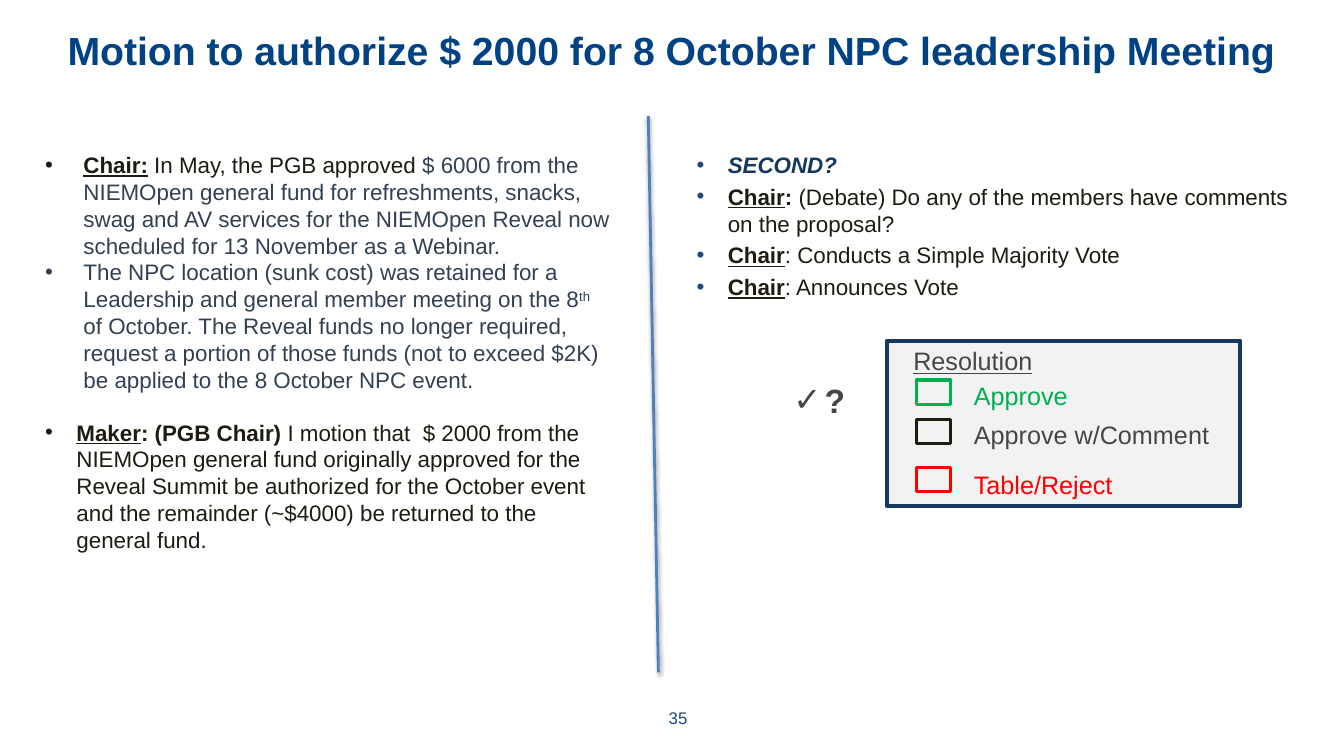
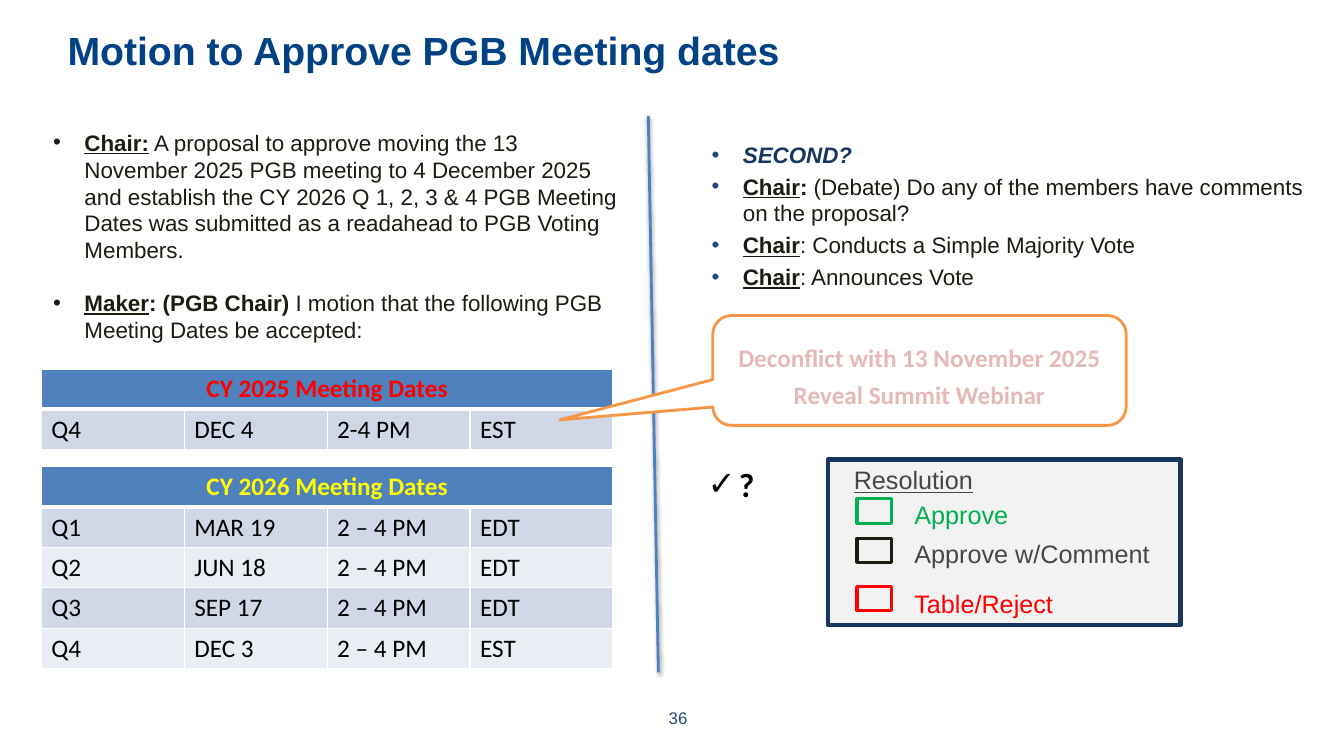
from dataclasses import dataclass

from lxml import etree
from pptx import Presentation
from pptx.dml.color import RGBColor
from pptx.enum.shapes import MSO_CONNECTOR, MSO_SHAPE
from pptx.enum.text import MSO_ANCHOR, MSO_AUTO_SIZE, PP_ALIGN
from pptx.oxml.ns import qn
from pptx.util import Inches, Pt

RECT = MSO_SHAPE.RECTANGLE
CALLOUT = MSO_SHAPE.ROUNDED_RECTANGULAR_CALLOUT
STRAIGHT = MSO_CONNECTOR.STRAIGHT
LEFT, CENTER = PP_ALIGN.LEFT, PP_ALIGN.CENTER
TOP, MIDDLE = MSO_ANCHOR.TOP, MSO_ANCHOR.MIDDLE
NO_FIT = MSO_AUTO_SIZE.NONE
TITLE_ONLY = 5


@dataclass(frozen=True)
class Theme:
    sans: str = "Arial"
    table_font: str = "Calibri"
    title: str = "004283"
    number: str = "1F497D"
    ink: str = "1E1C11"
    slate: str = "334052"
    navy: str = "17375E"
    grey: str = "464646"
    black: str = "000000"
    white: str = "FFFFFF"
    panel: str = "F2F2F2"
    green: str = "00B050"
    red: str = "FF0000"
    yellow: str = "FFFF00"
    blue: str = "4F81BD"
    band_dark: str = "D0D8E8"
    band_light: str = "E9EDF4"
    orange: str = "F79646"
    pink: str = "E6B9B8"
    title_size: float = 28
    mark_size: float = 24
    label_size: float = 18
    body_size: float = 16
    number_size: float = 12
    body_gap: float = 18.4
    list_gap: float = 3.5


T = Theme()


@dataclass(frozen=True)
class Run:
    text: str
    color: str = T.ink
    size: float = T.body_size
    font: str = T.sans
    bold: bool = False
    italic: bool = False
    underline: bool = False
    raised: bool = False


@dataclass(frozen=True)
class Para:
    runs: tuple[Run, ...]
    bullet: str = ""
    indent: float = 0.31
    bullet_color: str = ""
    before: float = 0
    align: PP_ALIGN = LEFT
    spacing: float = 1.0


@dataclass(frozen=True)
class Box:
    x: float
    y: float
    w: float
    h: float

    def lengths(self):
        return Inches(self.x), Inches(self.y), Inches(self.w), Inches(self.h)


@dataclass(frozen=True)
class Choice:
    text: str
    color: str
    box_color: str
    box_dy: float
    text_dy: float


@dataclass(frozen=True)
class MotionSlide:
    title: str
    number: str
    motion_at: Box
    motion: tuple[Para, ...]
    vote_at: Box
    panel_at: Box
    mark_at: Box
    mark: Run


CHOICES = (
    Choice("Approve", T.green, T.green, 0.39, 0.34),
    Choice("Approve w/Comment", T.grey, T.ink, 0.78, 0.73),
    Choice("Table/Reject", T.red, T.red, 1.26, 1.23),
)


def lead(text: str) -> Run:
    return Run(text, bold=True, underline=True)


def maker(text: str) -> Para:
    return Para((lead("Maker"), Run(": (PGB Chair) ", bold=True), Run(text)), "•", before=T.body_gap)


def vote_step(*runs: Run) -> Para:
    return Para((lead("Chair"), *runs), "•", bullet_color=T.number, before=T.list_gap)


VOTE = (
    Para((Run("SECOND?", T.navy, bold=True, italic=True),), "•", bullet_color=T.number),
    vote_step(Run(": ", bold=True), Run("(Debate) Do any of the members have comments on the proposal?")),
    vote_step(Run(": Conducts a Simple Majority Vote")),
    vote_step(Run(": Announces Vote")),
)

SLIDES = (
    MotionSlide(
        "Motion to authorize $ 2000 for 8 October NPC leadership Meeting", "35",
        Box(0.35, 1.45, 5.83, 4.73),
        (
            Para((
                lead("Chair:"),
                Run(" In May, the PGB approved"),
                Run(" $ 6000 from the NIEMOpen general fund for refreshments, snacks, swag and AV "
                    "services for the NIEMOpen Reveal now scheduled for 13 November as a Webinar.", T.slate),
            ), "•", 0.38),
            Para((
                Run("The NPC location (sunk cost) was retained for a Leadership and general member "
                    "meeting on the 8", T.slate),
                Run("th", T.slate, raised=True),
                Run(" of October. The Reveal funds no longer required, request a portion of those "
                    "funds (not to exceed $2K) be applied to the 8 October NPC event.", T.slate),
            ), "•", 0.38),
            maker("I motion that  $ 2000 from the NIEMOpen general fund originally approved for the "
                  "Reveal Summit be authorized for the October event and the remainder (~$4000) be "
                  "returned to the general fund."),
        ),
        Box(6.81, 1.45, 6.09, 1.93),
        Box(8.8, 3.38, 3.5, 1.64),
        Box(7.77, 3.72, 0.6, 0.5),
        Run("?", T.grey, T.mark_size, bold=True),
    ),
    MotionSlide(
        "Motion to Approve PGB Meeting dates", "36",
        Box(0.43, 1.23, 5.83, 2.26),
        (
            Para((
                lead("Chair:"),
                Run(" A proposal to approve moving the 13 November 2025 PGB meeting to 4 December 2025 "
                    "and establish the CY 2026 Q 1, 2, 3 & 4 PGB Meeting Dates was submitted as a "
                    "readahead to PGB Voting Members."),
            ), "•"),
            maker("I motion that the following PGB Meeting Dates be accepted:"),
        ),
        Box(6.96, 1.35, 6.09, 1.93),
        Box(8.21, 4.56, 3.5, 1.64),
        Box(6.92, 4.55, 0.58, 0.5),
        Run("?", T.black, T.mark_size, T.table_font, bold=True),
    ),
)

DATES_2025 = (("Q4", "DEC 4", "2-4 PM", "EST"),)
DATES_2026 = (
    ("Q1", "MAR 19", "2 – 4 PM", "EDT"),
    ("Q2", "JUN 18", "2 – 4 PM", "EDT"),
    ("Q3", "SEP 17", "2 – 4 PM", "EDT"),
    ("Q4", "DEC 3", "2 – 4 PM", "EST"),
)


def rgb(color: str) -> RGBColor:
    return RGBColor.from_string(color)


def add_solid(parent, color: str):
    fill = etree.SubElement(parent, qn("a:solidFill"))
    return etree.SubElement(fill, qn("a:srgbClr"), val=color)


def set_bullet(p, para: Para) -> None:
    pPr = p._p.get_or_add_pPr()
    indent = Inches(para.indent)
    pPr.set("marL", str(indent))
    pPr.set("indent", str(-indent))
    if para.bullet_color:
        clr = etree.SubElement(pPr, qn("a:buClr"))
        etree.SubElement(clr, qn("a:srgbClr"), val=para.bullet_color)
    etree.SubElement(pPr, qn("a:buFont"), typeface=T.sans)
    etree.SubElement(pPr, qn("a:buChar"), char=para.bullet)


def write(tf, *paras: Para) -> None:
    for i, para in enumerate(paras):
        p = tf.add_paragraph() if i else tf.paragraphs[0]
        p.alignment = para.align
        if para.bullet:
            set_bullet(p, para)
        p.space_before = Pt(para.before)
        p.line_spacing = para.spacing
        for run in para.runs:
            r = p.add_run()
            r.text = run.text
            f = r.font
            f.name, f.size, f.color.rgb = run.font, Pt(run.size), rgb(run.color)
            f.bold, f.italic, f.underline = run.bold, run.italic, run.underline
            if run.raised:
                r._r.get_or_add_rPr().set("baseline", "30000")


def add_text(s, box: Box, *paras: Para) -> None:
    tf = s.shapes.add_textbox(*box.lengths()).text_frame
    tf.word_wrap = True
    write(tf, *paras)


def add_box(s, kind: MSO_SHAPE, box: Box, fill: str, line: str, width: float):
    sp = s.shapes.add_shape(kind, *box.lengths())
    sp.shadow.inherit = False
    if fill:
        sp.fill.solid()
        sp.fill.fore_color.rgb = rgb(fill)
    else:
        sp.fill.background()
    sp.line.color.rgb = rgb(line)
    sp.line.width = Pt(width)
    return sp


def add_divider(s) -> None:
    line = s.shapes.add_connector(STRAIGHT, Inches(6.43), Inches(1.15), Inches(6.53), Inches(6.67))
    line.line.color.rgb = rgb(T.blue)
    line.line.width = Pt(2)
    effects = etree.SubElement(line._element.spPr, qn("a:effectLst"))
    shadow = etree.SubElement(effects, qn("a:outerShdw"), blurRad=str(Pt(3.1)), dist=str(Pt(1.6)),
                              dir="5400000", rotWithShape="0")
    clr = etree.SubElement(shadow, qn("a:srgbClr"), val=T.black)
    etree.SubElement(clr, qn("a:alpha"), val="38000")


def add_resolution(s, panel: Box) -> None:
    add_box(s, RECT, panel, T.panel, T.navy, 3)
    heading = Run("Resolution", T.grey, T.label_size, underline=True)
    add_text(s, Box(panel.x + 0.16, panel.y, 1.43, 0.33), Para((heading,)))
    for c in CHOICES:
        add_box(s, RECT, Box(panel.x + 0.29, panel.y + c.box_dy, 0.34, 0.24), "", c.box_color, 2.25)
        add_text(s, Box(panel.x + 0.76, panel.y + c.text_dy, 2.59, 0.33),
                 Para((Run(c.text, c.color, T.label_size),)))


def style_cell(cell, fill: str, bottom: float) -> None:
    cell.vertical_anchor = TOP
    tcPr = cell._tc.get_or_add_tcPr()
    for side, width in (("L", 1), ("R", 1), ("T", 1), ("B", bottom)):
        ln = etree.SubElement(tcPr, qn(f"a:ln{side}"), w=str(Pt(width)))
        add_solid(ln, T.white)
    cell.fill.solid()
    cell.fill.fore_color.rgb = rgb(fill)


def add_dates(s, y: float, heading: str, color: str, dates: tuple[tuple[str, ...], ...]) -> None:
    rows, cols = len(dates) + 1, len(dates[0])
    box = Box(0.41, y, 5.67, 0.4 * rows)
    table = s.shapes.add_table(rows, cols, *box.lengths()).table
    for cell in table.rows[0].cells:
        style_cell(cell, T.blue, 3)
    table.cell(0, 0).merge(table.cell(0, cols - 1))
    head = Run(heading, color, T.label_size, T.table_font, bold=True)
    write(table.cell(0, 0).text_frame, Para((head,), align=CENTER))
    for i, date in enumerate(dates):
        for j, text in enumerate(date):
            cell = table.cell(i + 1, j)
            style_cell(cell, T.band_light if i % 2 else T.band_dark, 1)
            write(cell.text_frame, Para((Run(text, T.black, T.label_size, T.table_font),)))


def add_callout(s) -> None:
    sp = add_box(s, CALLOUT, Box(7.07, 3.13, 4.1, 1.09), T.white, T.orange, 2)
    for i, value in enumerate((-0.87, 0.45, 0.17)):
        sp.adjustments[i] = value
    tf = sp.text_frame
    tf.word_wrap, tf.vertical_anchor, tf.margin_top = True, MIDDLE, Inches(0.1)
    note = Run("Deconflict with 13 November 2025 Reveal Summit Webinar", T.pink, T.label_size,
               T.table_font, bold=True)
    write(tf, Para((note,), align=CENTER, spacing=1.2))


def add_motion(prs, m: MotionSlide):
    s = prs.slides.add_slide(prs.slide_layouts[TITLE_ONLY])
    title = s.shapes.title
    title.left, title.top, title.width, title.height = Box(0.67, 0.26, 12.2, 1.18).lengths()
    tf = title.text_frame
    tf.auto_size, tf.vertical_anchor = NO_FIT, TOP
    tf.margin_left = tf.margin_right = tf.margin_top = tf.margin_bottom = 0
    write(tf, Para((Run(m.title, T.title, T.title_size, bold=True),)))
    add_text(s, Box(5.17, 6.97, 3.11, 0.4),
             Para((Run(m.number, T.number, T.number_size),), align=CENTER))
    add_text(s, m.motion_at, *m.motion)
    add_divider(s)
    add_text(s, m.vote_at, *VOTE)
    add_resolution(s, m.panel_at)
    add_text(s, m.mark_at, Para((m.mark,), "✓"))
    return s


def main() -> None:
    prs = Presentation()
    prs.slide_width, prs.slide_height = Inches(13.33), Inches(7.5)
    for motion in SLIDES:
        s = add_motion(prs, motion)
    add_dates(s, 4.63, "CY 2026 Meeting Dates", T.yellow, DATES_2026)
    add_dates(s, 3.66, "CY 2025 Meeting Dates", T.red, DATES_2025)
    add_callout(s)
    prs.save("out.pptx")


if __name__ == "__main__":
    main()
